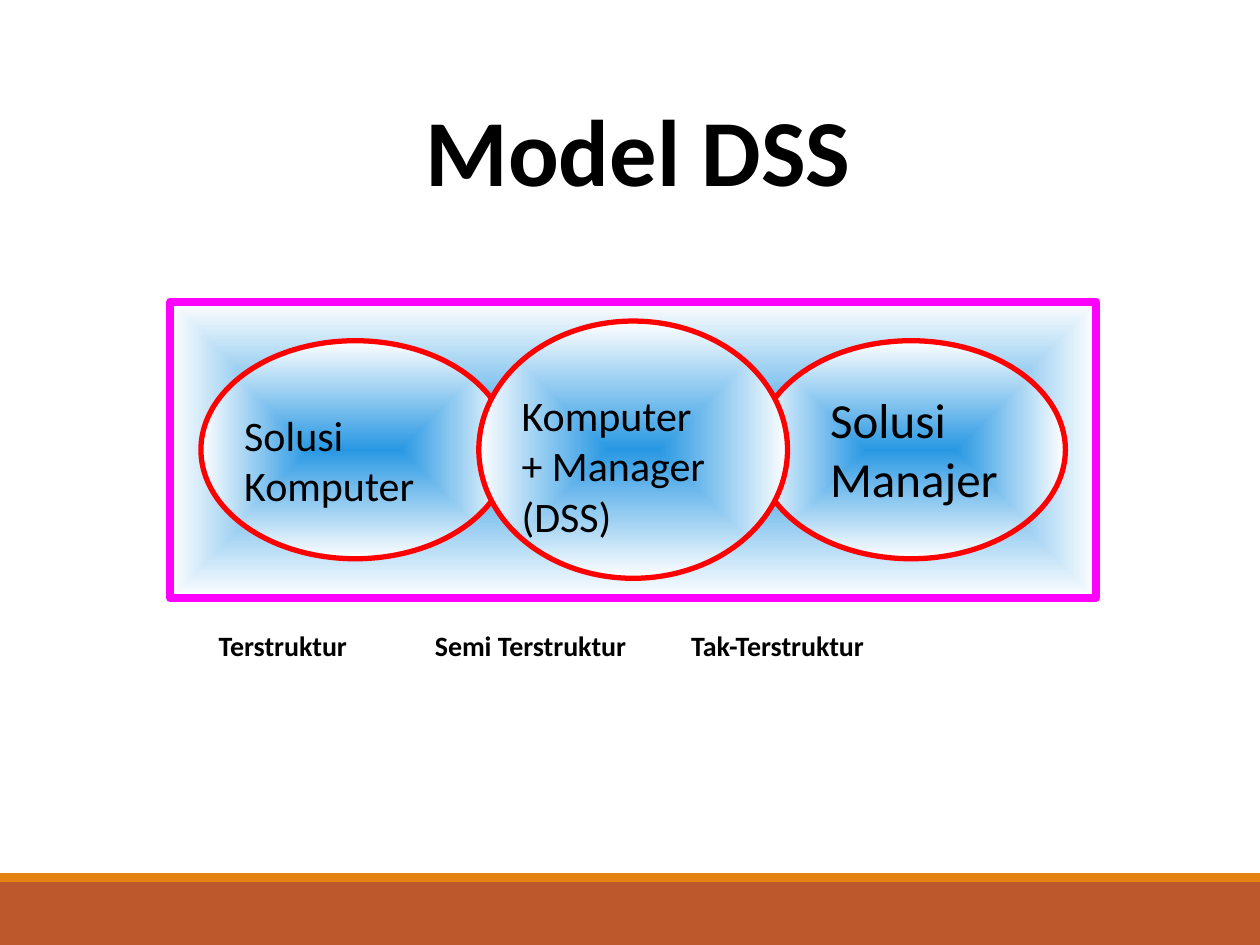
from lxml.etree import SubElement
from pptx import Presentation
from pptx.dml.color import RGBColor
from pptx.enum.shapes import MSO_SHAPE
from pptx.enum.text import MSO_ANCHOR, PP_ALIGN
from pptx.oxml import parse_xml
from pptx.oxml.ns import nsdecls, qn
from pptx.util import Pt

FONT = "Calibri"
CENTER_X, CENTER_Y = 361.8, 257
ELLIPSE_WIDTH, ELLIPSE_STEP = 176.4, 158.8


def color(hex_string):
    return RGBColor.from_string(hex_string)


def add_plain_shape(slide, kind, left, top, width, height):
    shape = slide.shapes.add_shape(kind, Pt(left), Pt(top), Pt(width), Pt(height))
    shape.shadow.inherit = False
    return shape


def add_band(slide, top, height, fill):
    band = add_plain_shape(slide, MSO_SHAPE.RECTANGLE, 0, top, 720, height)
    band.fill.solid()
    band.fill.fore_color.rgb = color(fill)
    band.line.fill.background()


def add_glow_shape(slide, kind, center_x, width, height, line_color, line_width):
    """Add a shape with a blue centre that fades to white at its edges."""
    shape = add_plain_shape(slide, kind, center_x - width / 2,
                            CENTER_Y - height / 2, width, height)
    shape.line.color.rgb = color(line_color)
    shape.line.width = Pt(line_width)
    gradient = parse_xml(
        f'<a:gradFill {nsdecls("a")} rotWithShape="1"><a:gsLst>'
        '<a:gs pos="0"><a:srgbClr val="2998E3"/></a:gs>'
        '<a:gs pos="100000"><a:srgbClr val="FFFFFF"/></a:gs></a:gsLst>'
        '<a:path path="rect">'
        '<a:fillToRect l="50000" t="50000" r="50000" b="50000"/>'
        '</a:path></a:gradFill>')
    shape.element.spPr.find(qn("a:prstGeom")).addnext(gradient)


def add_text(slide, text, left, top, width, height, size, bold=False,
             align=PP_ALIGN.LEFT):
    box = slide.shapes.add_textbox(Pt(left), Pt(top), Pt(width), Pt(height))
    frame = box.text_frame
    frame.word_wrap = True
    frame.text = text
    for paragraph in frame.paragraphs:
        paragraph.alignment = align
        for run in paragraph.runs:
            run.font.name = FONT
            run.font.size = Pt(size)
            run.font.bold = bold
            run.font.color.rgb = color("000000")
    return frame


def add_structure_labels(slide):
    """Add the three labels under the frame, spaced by tab stops."""
    frame = add_text(slide, "Terstruktur\tSemi Terstruktur\tTak-Terstruktur",
                     82, 355.7, 523.5, 23, 16, bold=True)
    frame.vertical_anchor = MSO_ANCHOR.MIDDLE
    frame.margin_left = Pt(43)
    frame.margin_bottom = 0
    properties = frame.paragraphs[0]._p.get_or_add_pPr()
    tab_list = SubElement(properties, qn("a:tabLst"))
    for position in (123.5, 270):
        SubElement(tab_list, qn("a:tab"), pos=str(Pt(position)), algn="l")


def main():
    presentation = Presentation()
    presentation.slide_width, presentation.slide_height = Pt(720), Pt(540)
    slide = presentation.slides.add_slide(presentation.slide_layouts[6])

    add_band(slide, 504, 36, "BD582C")
    add_band(slide, 499, 5, "E48312")

    add_glow_shape(slide, MSO_SHAPE.RECTANGLE, CENTER_X, 529.2, 169.2, "FF00FF", 4.5)
    for step, height in ((-1, 124.6), (1, 124.6), (0, 147)):
        add_glow_shape(slide, MSO_SHAPE.OVAL, CENTER_X + step * ELLIPSE_STEP,
                       ELLIPSE_WIDTH, height, "FF0000", 3)

    add_text(slide, "Solusi\nKomputer", 132.5, 230.4, 141, 45.4, 24)
    add_text(slide, "Komputer\n+ Manager\n(DSS)", 291, 219, 141, 67.7, 24)
    add_text(slide, "Solusi\nManajer", 467.3, 219, 123.8, 79.2, 28)
    add_structure_labels(slide)
    add_text(slide, "Model DSS", 72.7, 49, 584, 72, 54, bold=True,
             align=PP_ALIGN.CENTER)

    presentation.save("out.pptx")


if __name__ == "__main__":
    main()
